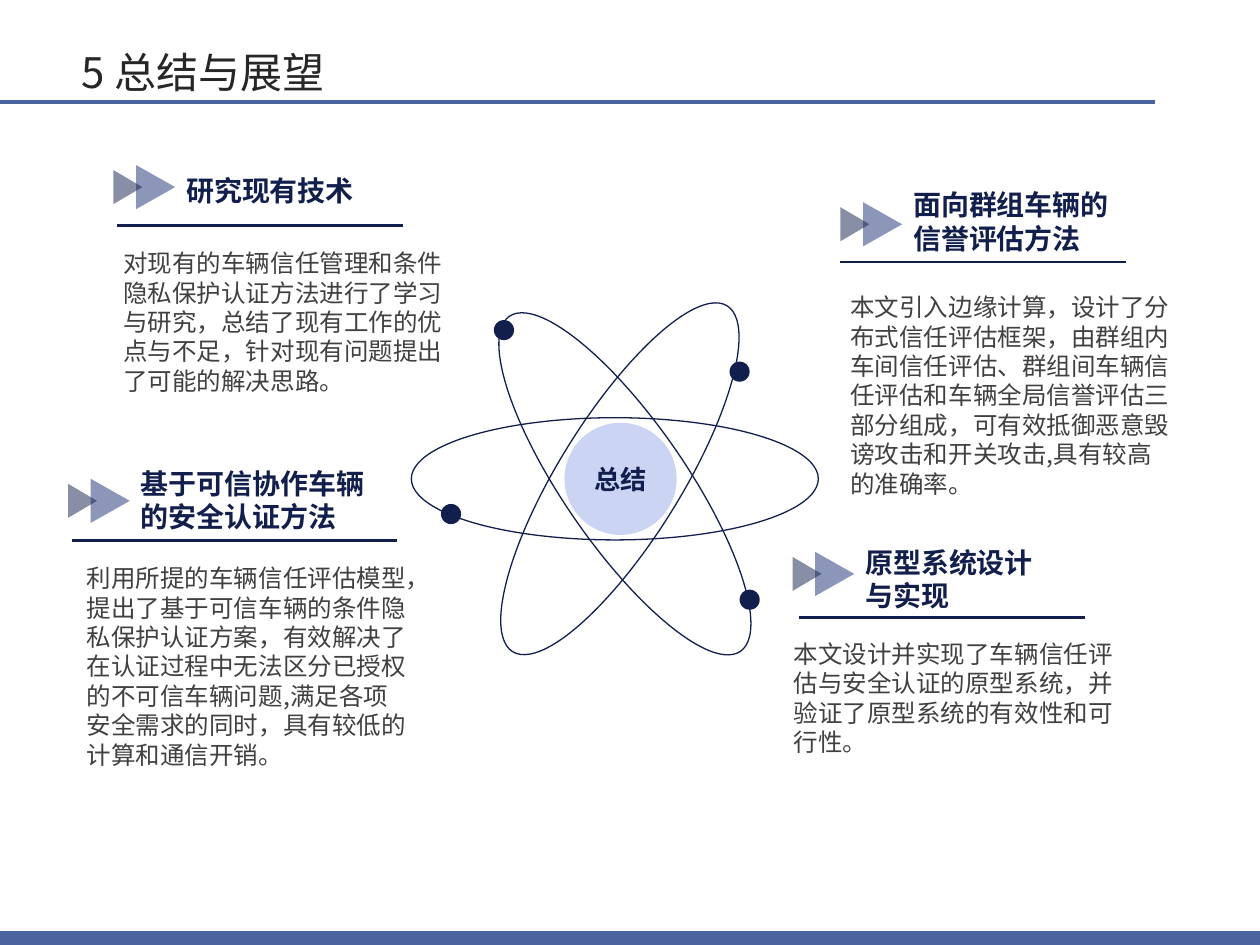
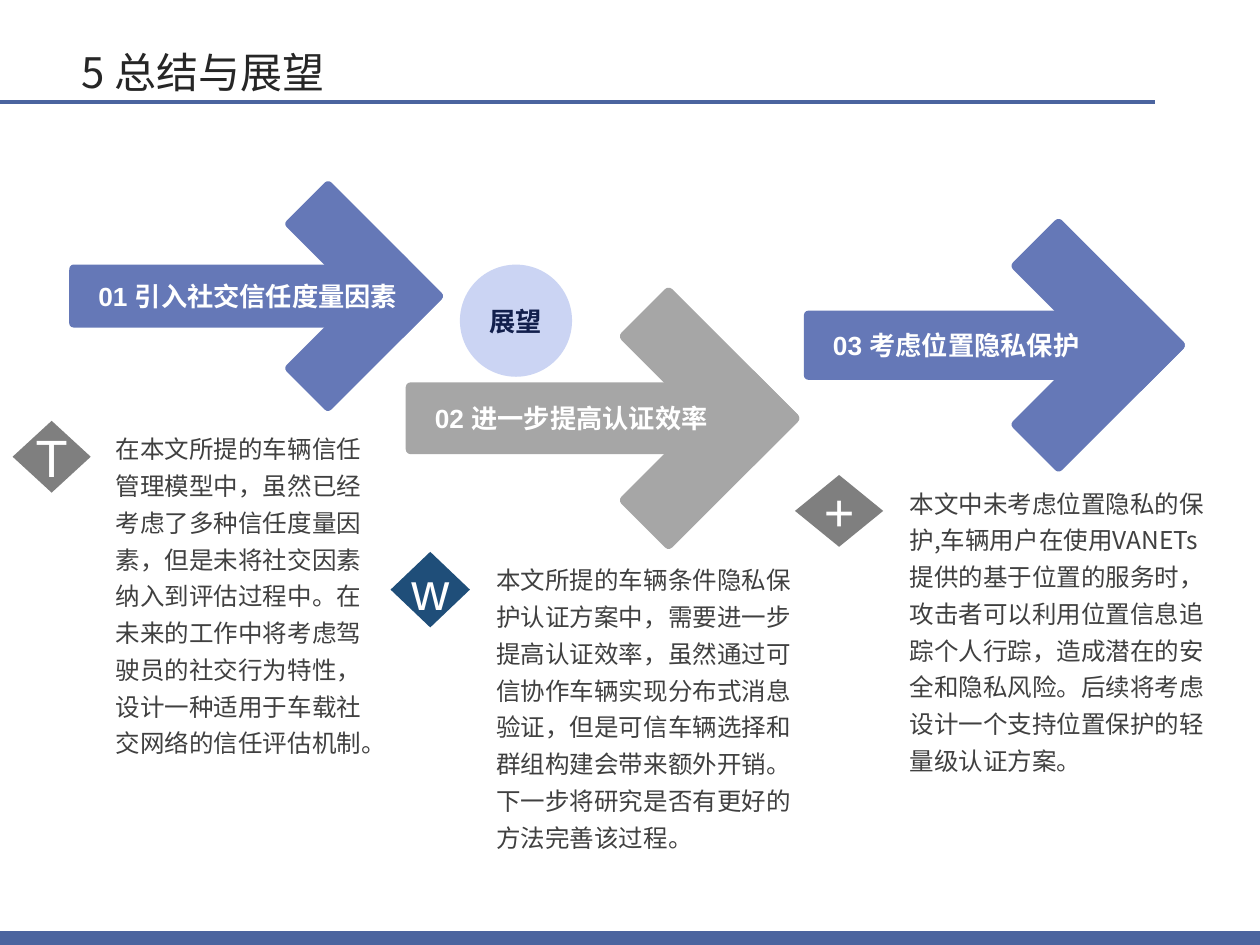
from math import sqrt

from lxml.etree import SubElement
from pptx import Presentation
from pptx.dml.color import RGBColor
from pptx.enum.shapes import MSO_CONNECTOR, MSO_SHAPE as Preset
from pptx.enum.text import MSO_ANCHOR as Anchor, PP_ALIGN as Align
from pptx.oxml.ns import qn
from pptx.util import Inches, Pt

# Grid of 100 columns by 75 rows; every position below counts its cells
COLUMNS, ROWS = 100, 75
CELL = Inches(0.1)
SANS, CJK = "Arial", "Noto Sans CJK SC"
COLORS = {
    "navy": "121F4C", "royal": "1A2E73", "band": "4B649F", "pale": "CBD4F3",
    "arrow": "6578B7", "silver": "A6A6A6", "gray": "7F7F7F", "teal": "1F4E79",
    "title": "262626", "body": "404040", "white": "FFFFFF",
}


def cells(*counts):
    return [round(count * CELL) for count in counts]


def color(name):
    return RGBColor.from_string(COLORS[name])


def write(shape, text, size=14, font=CJK, ink="body", bold=False, align=Align.LEFT,
          anchor=Anchor.TOP, insets=(1, 0.5, 1, 0.5), leading=1.2, wrap=True):
    frame = shape.text_frame
    frame.word_wrap = wrap
    frame.vertical_anchor = anchor
    (frame.margin_left, frame.margin_top,
     frame.margin_right, frame.margin_bottom) = cells(*insets)
    paragraph = frame.paragraphs[0]
    paragraph.alignment = align
    paragraph.line_spacing = Pt(size * leading)
    run = paragraph.add_run()
    run.text = text
    run.font.name, run.font.size, run.font.bold = font, Pt(size), bold
    run.font.color.rgb = color(ink)
    SubElement(run.font._element, qn("a:ea"), typeface=CJK)


def add_text(slide, box, text, **format):
    write(slide.shapes.add_textbox(*cells(*box)), text, **format)


def add_figure(slide, preset, box, fill=None, outline=None, turn=0, opacity=None):
    figure = slide.shapes.add_shape(preset, *cells(*box))
    figure.shadow.inherit = False
    figure.rotation = turn
    if fill:
        figure.fill.solid()
        figure.fill.fore_color.rgb = color(fill)
    else:
        figure.fill.background()
    if outline:
        figure.line.color.rgb = color(outline)
        figure.line.width = Pt(0.75)
    else:
        figure.line.fill.background()
    if opacity:
        tint = figure._element.spPr.find(qn("a:solidFill"))[0]
        SubElement(tint, qn("a:alpha"), val=str(opacity * 1000))
    return figure


def add_centered(slide, preset, center, size, **look):
    (x, y), (width, height) = center, size
    return add_figure(slide, preset, (x - width / 2, y - height / 2, width, height), **look)


def add_rule(slide, x, y, length, ink, weight):
    rule = slide.shapes.add_connector(MSO_CONNECTOR.STRAIGHT, *cells(x, y, x + length, y))
    rule.line.color.rgb = color(ink)
    rule.line.width = Pt(weight)
    SubElement(rule._element.spPr, qn("a:effectLst"))


def add_page(deck, title):
    slide = deck.slides.add_slide(deck.slide_layouts[6])
    add_rule(slide, 0, 8.1, 91.7, "band", 2)
    add_figure(slide, Preset.RECTANGLE, (0, ROWS - 1.1, COLUMNS, 1.1), fill="band")
    add_text(slide, (5.7, 2.8, 90, 5.8), title, size=24, ink="title",
             anchor=Anchor.MIDDLE, insets=(0.8, 0.8, 0, 0.8), wrap=False)
    return slide


def add_hub(slide, center, label):
    hub = add_centered(slide, Preset.OVAL, center, (8.9, 8.9), fill="pale")
    write(hub, label, size=15, font=SANS, ink="navy", bold=True,
          align=Align.CENTER, anchor=Anchor.MIDDLE)


def add_atom(slide):
    orbits = [((49.2, 38), 31.8), ((49.6, 38.4), 325.4), ((48.8, 38), 270)]
    electrons = [(58.7, 29.5), (59.5, 47.6), (35.8, 40.8), (40, 26.2)]
    for center, turn in orbits:
        add_centered(slide, Preset.OVAL, center, (9.7, 32.3), outline="navy", turn=turn)
    for center in electrons:
        add_centered(slide, Preset.OVAL, center, (1.6, 1.6), fill="navy")
    add_hub(slide, (49.25, 38), "总结")


def add_topic(slide, heading, heading_box, marker_y, rule, body, body_box):
    """Double triangle, bold heading, underline and paragraph."""
    marker_x = heading_box[0] - 1.45
    for dx, size, fill in ((0, (3.5, 3.1), "royal"), (-2.2, (2.7, 2.3), "navy")):
        add_centered(slide, Preset.ISOSCELES_TRIANGLE, (marker_x + dx, marker_y), size,
                     fill=fill, turn=90, opacity=50)
    add_text(slide, heading_box, heading, size=16, font=SANS, ink="navy", bold=True)
    add_rule(slide, *rule, "navy", 1.5)
    add_text(slide, body_box, body)


def add_arrow(slide, label, tip, shaft_x, shaft_length, head_length, thickness, fill):
    """Two bars meet at the tip at 45 degrees; the shaft lies on the axis."""
    tip_x, axis = tip
    back = (head_length + thickness) / 2 / sqrt(2)
    rise = (head_length - thickness) / 2 / sqrt(2)
    shaft_center = (shaft_x + shaft_length / 2, axis)
    bars = [((tip_x - back, axis - rise), head_length, 45),
            ((tip_x - back, axis + rise), head_length, 315),
            (shaft_center, shaft_length, 0)]
    for center, length, turn in bars:
        bar = add_centered(slide, Preset.ROUNDED_RECTANGLE, center, (length, thickness),
                           fill=fill, turn=turn)
        bar.adjustments[0] = 0.07
    write(bar, label, size=15, font=SANS, ink="white", bold=True,
          anchor=Anchor.MIDDLE, insets=(2.2, 0.5, 0.7, 0.5))


def add_plan(slide, letter, diamond_box, fill, body, body_box):
    diamond = add_figure(slide, Preset.DIAMOND, diamond_box, fill=fill)
    write(diamond, letter, size=30, font=SANS, ink="white", align=Align.CENTER,
          anchor=Anchor.MIDDLE, insets=(0, 0, 0, 0), wrap=False)
    add_text(slide, body_box, body, leading=1.5)


def main():
    deck = Presentation()
    deck.slide_width, deck.slide_height = COLUMNS * CELL, ROWS * CELL
    title = "5 总结与展望"

    # Summary: four topics around an atom
    summary = add_page(deck, title)
    add_atom(summary)
    topics = [
        ("研究现有技术", (13.8, 13.3, 17.7, 3.7), 14.85, (9.3, 17.9, 22.7),
         "对现有的车辆信任管理和条件隐私保护认证方法进行了学习与研究，总结了现有工作的优点与不足，"
         "针对现有问题提出了可能的解决思路。", (8.8, 19.2, 27.4, 15.8)),
        ("面向群组车辆的信誉评估方法", (71.5, 14.4, 18.9, 6.4), 17.8, (66.7, 20.8, 22.7),
         "本文引入边缘计算，设计了分布式信任评估框架，由群组内车间信任评估、群组间车辆信任评估和"
         "车辆全局信誉评估三部分组成，可有效抵御恶意毁谤攻击和开关攻击,具有较高的准确率。",
         (66.5, 22.7, 27.8, 17.5)),
        ("基于可信协作车辆的安全认证方法", (10.2, 36.5, 20, 6.4), 39.75, (5.7, 42.9, 25.8),
         "利用所提的车辆信任评估模型，提出了基于可信车辆的条件隐私保护认证方案，有效解决了在认证"
         "过程中无法区分已授权的不可信车辆问题,满足各项安全需求的同时，具有较低的计算和通信开销。",
         (5.9, 44.2, 27.4, 20.5)),
        ("原型系统设计与实现", (67.7, 42.8, 16.4, 6.4), 45.55, (63.4, 49, 22.7),
         "本文设计并实现了车辆信任评估与安全认证的原型系统，并验证了原型系统的有效性和可行性。",
         (62, 50.2, 27.8, 13.5)),
    ]
    for topic in topics:
        add_topic(summary, *topic)

    # Outlook: three arrows, each with its plan
    outlook = add_page(deck, title)
    arrows = [
        ("02 进一步提高认证效率", (63.6, 33.2), 32.2, 27.4, 14.9, 5.7, "silver"),
        ("03 考虑位置隐私保护", (94.2, 27.4), 63.8, 26.4, 14.4, 5.5, "arrow"),
        ("01 引入社交信任度量因素", (35.3, 23.5), 5.5, 27.4, 13.1, 5, "arrow"),
    ]
    for arrow in arrows:
        add_arrow(outlook, *arrow)
    plans = [
        ("T", (1, 33.4, 6.2, 5.7), "gray",
         "在本文所提的车辆信任管理模型中，虽然已经考虑了多种信任度量因素，但是未将社交因素纳入到"
         "评估过程中。在未来的工作中将考虑驾驶员的社交行为特性，设计一种适用于车载社交网络的"
         "信任评估机制。", (8.2, 33.4, 21.9, 3.7)),
        ("w", (31, 43.8, 6.3, 6), "teal",
         "本文所提的车辆条件隐私保护认证方案中，需要进一步提高认证效率，虽然通过可信协作车辆实现"
         "分布式消息验证，但是可信车辆选择和群组构建会带来额外开销。下一步将研究是否有更好的"
         "方法完善该过程。", (38.4, 43.8, 25.6, 3.6)),
        ("+", (63.1, 37.7, 7, 5.7), "gray",
         "本文中未考虑位置隐私的保护,车辆用户在使用VANETs提供的基于位置的服务时，攻击者可以利用"
         "位置信息追踪个人行踪，造成潜在的安全和隐私风险。后续将考虑设计一个支持位置保护的"
         "轻量级认证方案。", (71.2, 37.7, 25.5, 3)),
    ]
    for plan in plans:
        add_plan(outlook, *plan)
    add_hub(outlook, (40.95, 25.45), "展望")

    deck.save("out.pptx")


if __name__ == "__main__":
    main()
